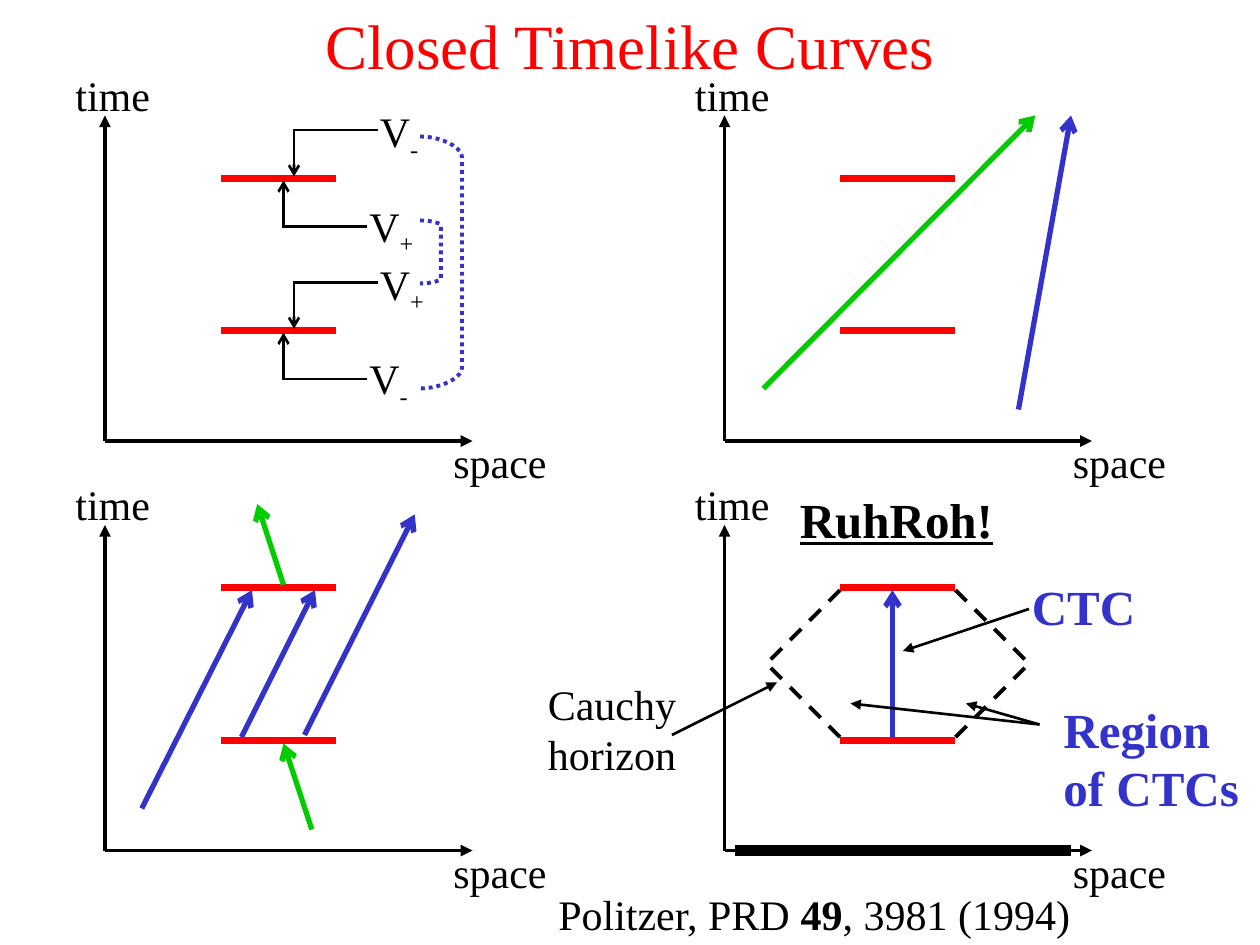
from dataclasses import dataclass
from typing import Optional

from lxml.etree import SubElement
from pptx import Presentation
from pptx.dml.color import RGBColor
from pptx.enum.dml import MSO_LINE_DASH_STYLE as Dash
from pptx.enum.shapes import MSO_CONNECTOR_TYPE as Connector
from pptx.enum.text import MSO_AUTO_SIZE as AutoSize, PP_ALIGN as Align
from pptx.oxml.ns import qn
from pptx.slide import Slide
from pptx.util import Pt

EMU_PER_PX = 7620


@dataclass(frozen=True)
class Theme:
    font: str = "Times New Roman"
    black: str = "000000"
    red: str = "FF0000"
    blue: str = "3333CC"
    green: str = "00CC00"
    title: float = 36
    callout: float = 28
    body: float = 24
    pointer: float = 1.5
    axis: float = 2.25
    ray: float = 3
    plate: float = 4
    surface: float = 6


THEME = Theme()
Point = tuple[int, int]


@dataclass(frozen=True)
class Stroke:
    start: Point
    end: Point
    color: str = THEME.black
    width: float = THEME.pointer
    head: Optional[str] = None
    dash: Optional[Dash] = None


@dataclass(frozen=True)
class Span:
    text: str
    bold: bool = False
    underline: bool = False
    subscript: bool = False


@dataclass(frozen=True)
class Label:
    left: int
    top: int
    width: int
    height: int
    lines: tuple[tuple[Span, ...], ...]
    color: str = THEME.black
    size: float = THEME.body
    align: Align = Align.LEFT
    wrap: bool = True


def px(value: float) -> int:
    return round(value * EMU_PER_PX)


def draw_stroke(page: Slide, stroke: Stroke) -> None:
    line = page.shapes.add_connector(
        Connector.STRAIGHT, *map(px, stroke.start + stroke.end)
    )
    line.line.color.rgb = RGBColor.from_string(stroke.color)
    line.line.width = Pt(stroke.width)
    if stroke.dash:
        line.line.dash_style = stroke.dash
    properties = line._element.spPr
    if stroke.head:
        SubElement(properties.find(qn("a:ln")), qn("a:tailEnd"), type=stroke.head)
    SubElement(properties, qn("a:effectLst"))


def draw_label(page: Slide, label: Label) -> None:
    box = page.shapes.add_textbox(
        px(label.left), px(label.top), px(label.width), px(label.height)
    )
    frame = box.text_frame
    frame.word_wrap = label.wrap
    frame.auto_size = AutoSize.SHAPE_TO_FIT_TEXT
    for index, spans in enumerate(label.lines):
        para = frame.add_paragraph() if index else frame.paragraphs[0]
        para.alignment = label.align
        for span in spans:
            run = para.add_run()
            run.text = span.text
            run.font.name = THEME.font
            run.font.size = Pt(label.size)
            run.font.color.rgb = RGBColor.from_string(label.color)
            run.font.bold = span.bold
            run.font.underline = span.underline
            if span.subscript:
                run._r.get_or_add_rPr().set("baseline", "-25000")


def draw_bracket(page: Slide, left: int, top: int, right: int, bottom: int, bend: int) -> None:
    def bezier(t: float, *points: float) -> float:
        weights = ((1 - t) ** 3, 3 * t * (1 - t) ** 2, 3 * t**2 * (1 - t), t**3)
        return sum(weight * point for weight, point in zip(weights, points))

    middle = (left + right) / 2
    steps = [step / 10 for step in range(11)]
    corner = [
        (bezier(t, left, middle, right, right), bezier(t, 0, 0, bend / 2, bend))
        for t in steps
    ]
    outline = [(px(x), px(top + y)) for x, y in corner]
    outline += [(px(x), px(bottom - y)) for x, y in reversed(corner)]
    builder = page.shapes.build_freeform(*outline[0])
    builder.add_line_segments(outline[1:], close=False)
    bracket = builder.convert_to_shape()
    bracket.shadow.inherit = False
    bracket.fill.background()
    bracket.line.color.rgb = RGBColor.from_string(THEME.blue)
    bracket.line.width = Pt(THEME.axis)
    bracket.line.dash_style = Dash.ROUND_DOT


def draw_panel(page: Slide, dx: int, dy: int) -> None:
    origin = (100 + dx, 420 + dy)
    for tip in ((100 + dx, 110 + dy), (450 + dx, 420 + dy)):
        draw_stroke(page, Stroke(origin, tip, width=THEME.axis, head="triangle"))
    for y in PLATES:
        draw_stroke(
            page, Stroke((210 + dx, y + dy), (320 + dx, y + dy), THEME.red, THEME.plate)
        )
    draw_label(page, Label(60 + dx, 60 + dy, 160, 60, ((Span("time"),),)))
    draw_label(page, Label(420 + dx, 410 + dy, 113, 60, ((Span("space"),),), wrap=False))


def draw_potentials(page: Slide, plate: int, above: str, below: str) -> None:
    for sign, x, side in ((above, 280, -1), (below, 270, 1)):
        elbow = plate + side * 46
        top = plate + (15 if side > 0 else -75)
        draw_label(
            page, Label(x + 70, top, 90, 67, ((Span("V"), Span(sign, subscript=True)),))
        )
        draw_stroke(page, Stroke((x + 80, elbow), (x, elbow)))
        draw_stroke(page, Stroke((x, elbow + side), (x, plate + side * 2), head="arrow"))


PLATES = (170, 315)

RAYS = [
    Stroke(start, end, color, THEME.ray, "arrow")
    for start, end, color in (
        ((970, 390), (1020, 110), THEME.blue),
        ((727, 370), (986, 110), THEME.green),
        ((135, 770), (240, 562), THEME.blue),
        ((230, 702), (300, 562), THEME.blue),
        ((290, 700), (395, 490), THEME.blue),
        ((297, 790), (270, 708), THEME.green),
        ((270, 557), (245, 480), THEME.green),
        ((850, 702), (850, 562), THEME.blue),
    )
]
HORIZON = [
    Stroke((inner, y), (outer, 632), width=THEME.axis, dash=Dash.DASH)
    for inner, outer in ((800, 730), (910, 980))
    for y in (562, 702)
]
POINTERS = [
    Stroke(start, end, head="triangle")
    for start, end in (
        ((980, 580), (860, 620)),
        ((990, 690), (920, 670)),
        ((990, 690), (810, 670)),
        ((640, 700), (740, 650)),
    )
]
SURFACE = Stroke((700, 810), (1020, 810), width=THEME.surface)

LABELS = [
    Label(160, 0, 880, 84, ((Span("Closed Timelike Curves"),),),
          THEME.red, THEME.title, Align.CENTER),
    Label(750, 460, 400, 66, ((Span("RuhRoh!", bold=True, underline=True),),),
          size=THEME.callout),
    Label(971, 543, 130, 66, ((Span("CTC", bold=True),),), THEME.blue, THEME.callout),
    Label(1001, 660, 191, 125,
          ((Span("Region", bold=True),), (Span("of CTCs", bold=True),)),
          THEME.blue, THEME.callout, wrap=False),
    Label(510, 640, 170, 108, ((Span("Cauchy horizon"),),)),
    Label(520, 840, 540, 60,
          ((Span("Politzer, PRD "), Span("49", bold=True), Span(", 3981 (1994)")),)),
]


def main() -> None:
    deck = Presentation()
    deck.slide_width, deck.slide_height = px(1200), px(900)
    page = deck.slides.add_slide(deck.slide_layouts[6])
    for dy in (0, 390):
        for dx in (0, 590):
            draw_panel(page, dx, dy)
    for plate, above, below in zip(PLATES, "-+", "+-"):
        draw_potentials(page, plate, above, below)
    draw_bracket(page, 400, 210, 420, 270, 5)
    draw_bracket(page, 400, 130, 440, 370, 20)
    for stroke in (*RAYS, *HORIZON, *POINTERS, SURFACE):
        draw_stroke(page, stroke)
    for label in LABELS:
        draw_label(page, label)
    deck.save("out.pptx")


if __name__ == "__main__":
    main()
